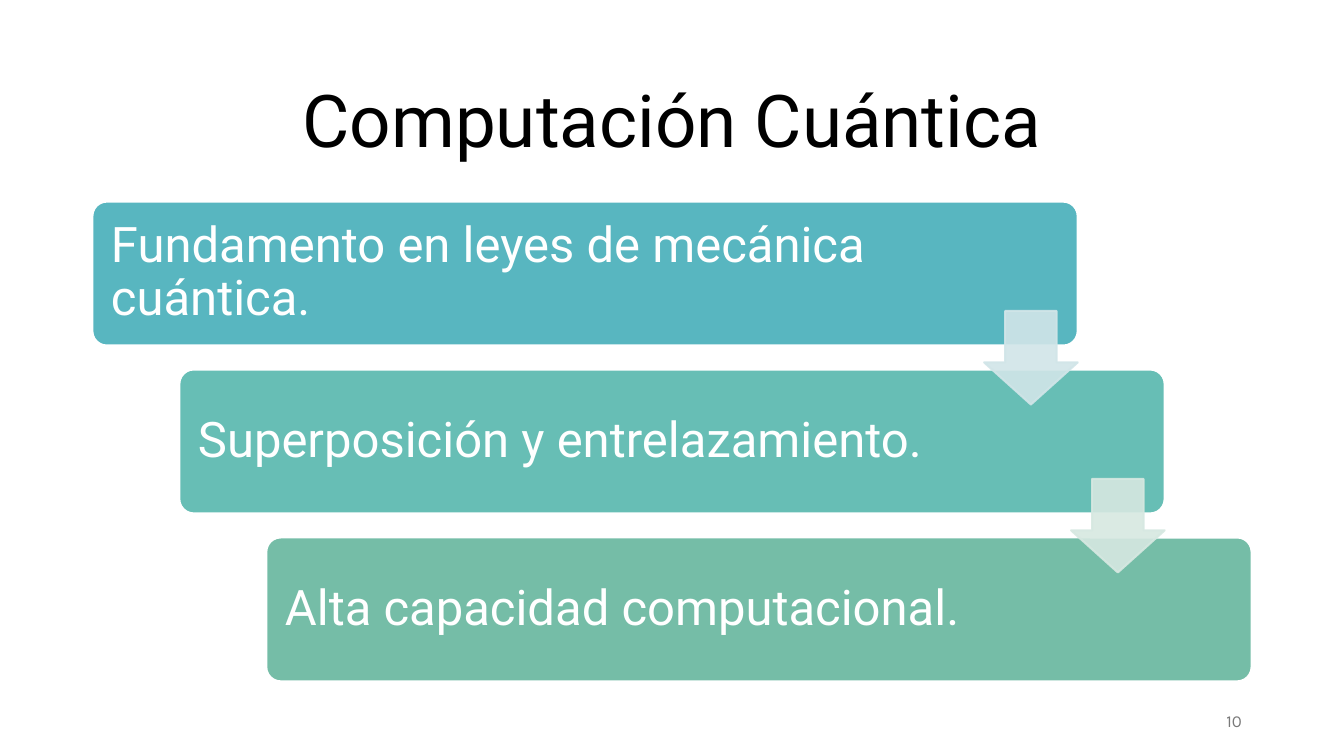
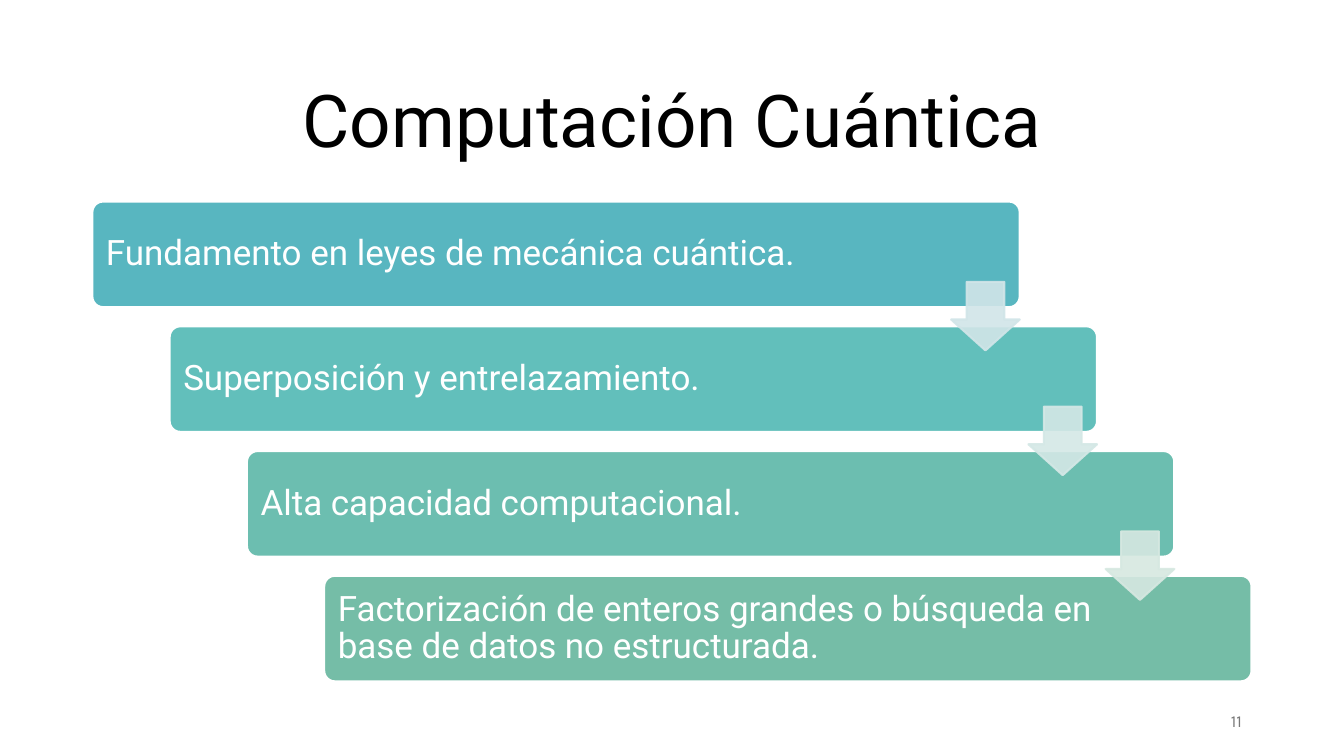
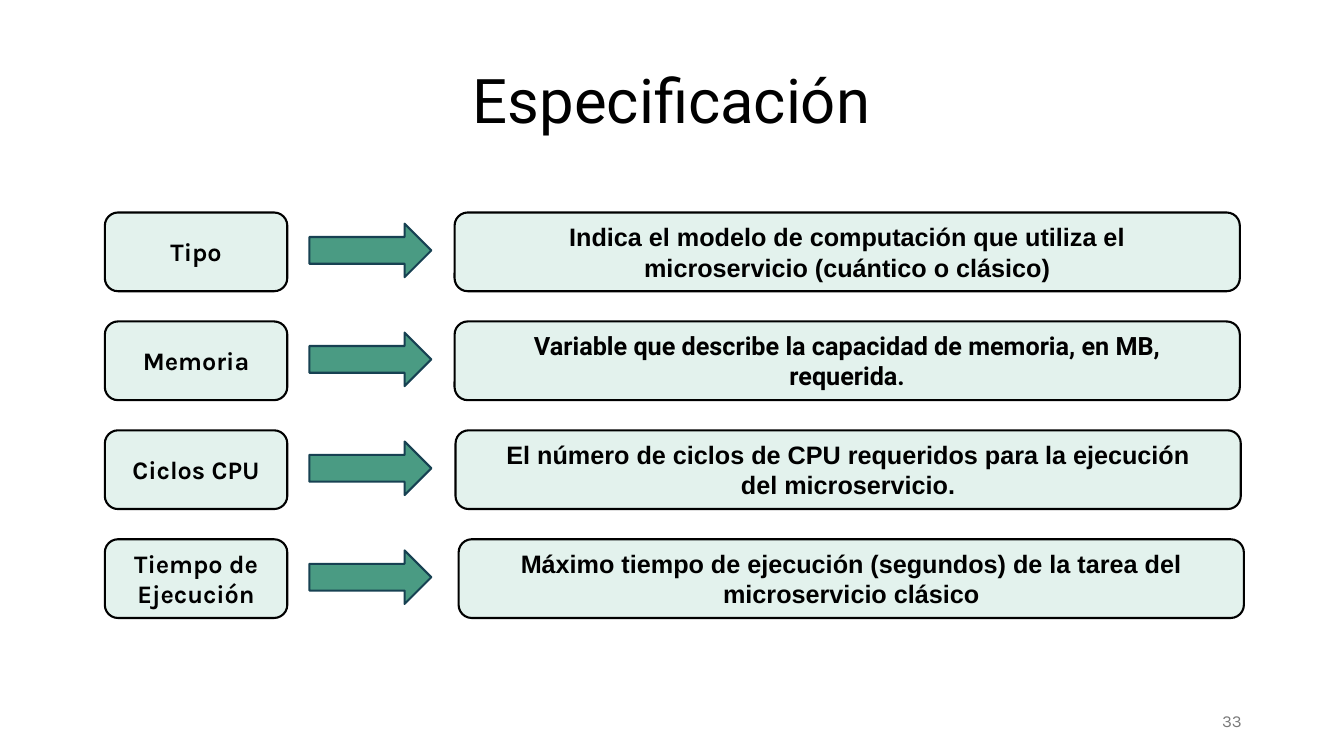
"""Build three slides on quantum computing and microservice specification."""
from lxml.etree import SubElement
from pptx import Presentation
from pptx.dml.color import RGBColor
from pptx.enum.shapes import MSO_SHAPE
from pptx.enum.text import MSO_ANCHOR, PP_ALIGN
from pptx.oxml.ns import qn
from pptx.util import Pt

BLACK = RGBColor(0x00, 0x00, 0x00)
WHITE = RGBColor(0xFF, 0xFF, 0xFF)
GREY = RGBColor(0x79, 0x79, 0x79)
BLUE = RGBColor(0x58, 0xB6, 0xC0)
TURQUOISE = RGBColor(0x62, 0xBF, 0xBB)
TEAL = RGBColor(0x67, 0xBE, 0xB5)
SEA_GREEN = RGBColor(0x6C, 0xBE, 0xB0)
GREEN = RGBColor(0x75, 0xBD, 0xA7)
PALE_BLUE = RGBColor(0xD1, 0xE5, 0xE8)
PALE_TEAL = RGBColor(0xD4, 0xE8, 0xE6)
PALE_GREEN = RGBColor(0xD6, 0xE8, 0xE1)
MINT = RGBColor(0xE3, 0xF2, 0xED)
ARROW_GREEN = RGBColor(0x4A, 0x9B, 0x83)
ARROW_EDGE = RGBColor(0x17, 0x41, 0x52)

TITLE_AREA = (66, 44, 828, 89.3)
NUMBER_AREA = (678.2, 500.4, 216, 28.8)
STAIRS_AREA = (66, 144, 828, 342.7)

TITLE_FONT = {"name": "Roboto", "size": Pt(52), "color": BLACK}
NUMBER_FONT = {"name": "Karla", "size": Pt(12), "color": GREY}
STEP_FONT = {"name": "Roboto", "color": WHITE}
LABEL_FONT = {"name": "Karla", "size": Pt(18), "bold": True, "color": BLACK}

THREE_STEPS = [
    ("Fundamento en leyes de mecánica cuántica.", BLUE, PALE_BLUE),
    ("Superposición y entrelazamiento.", TEAL, PALE_GREEN),
    ("Alta capacidad computacional.", GREEN, None),
]
FOUR_STEPS = [
    ("Fundamento en leyes de mecánica cuántica.", BLUE, PALE_BLUE),
    ("Superposición y entrelazamiento.", TURQUOISE, PALE_TEAL),
    ("Alta capacidad computacional.", SEA_GREEN, PALE_GREEN),
    ("Factorización de enteros grandes o búsqueda en base de datos no estructurada.",
     GREEN, None),
]
FIELDS = [
    ("Tipo", 324.7, "Arial",
     ["Indica el modelo de computación que utiliza el",
      "microservicio (cuántico o clásico)"]),
    ("Memoria", 324.7, "Roboto",
     ["Variable que describe la capacidad de memoria, en MB,\nrequerida."]),
    ("Ciclos CPU", 325.4, "Arial",
     ["El número de ciclos de CPU requeridos para la ejecución\ndel microservicio."]),
    ("Tiempo de Ejecución", 327.6, "Arial",
     ["Máximo tiempo de ejecución (segundos) de la tarea del\nmicroservicio clásico"]),
]


def write(box, paragraphs, font, align=PP_ALIGN.CENTER, spacing=1.0, **frame_format):
    """Fill the text frame of a box with evenly formatted paragraphs."""
    frame = box.text_frame
    settings = {"word_wrap": True, "vertical_anchor": MSO_ANCHOR.MIDDLE, **frame_format}
    for name, value in settings.items():
        setattr(frame, name, value)
    for index, text in enumerate(paragraphs):
        para = frame.paragraphs[0] if index == 0 else frame.add_paragraph()
        para.text = text
        para.alignment = align
        para.line_spacing = spacing
        for span in para.runs:
            for name, value in font.items():
                if name == "color":
                    span.font.color.rgb = value
                else:
                    setattr(span.font, name, value)


def add_text(page, area, text, font, **text_format):
    """Add a text box with one paragraph."""
    box = page.shapes.add_textbox(*map(Pt, area))
    write(box, [text], font, **text_format)


def add_block(page, kind, area, fill, edge, adjustments=()):
    """Add a filled preset shape with an outline and no shadow."""
    block = page.shapes.add_shape(kind, *map(Pt, area))
    block.shadow.inherit = False
    block.fill.solid()
    block.fill.fore_color.rgb = fill
    block.line.color.rgb = edge
    block.line.width = Pt(1.5)
    for index, value in enumerate(adjustments):
        block.adjustments[index] = value
    return block


def set_opacity(block, percent):
    """Make the fill and outline of a block partly transparent."""
    for color in block._element.spPr.iter(qn("a:srgbClr")):
        SubElement(color, qn("a:alpha"), val=str(percent * 1000))


def add_page(deck, title, number, area=TITLE_AREA, size=52, anchor=MSO_ANCHOR.MIDDLE):
    """Add a blank page with its title and page number."""
    page = deck.slides.add_slide(deck.slide_layouts[6])
    add_text(page, area, title, {**TITLE_FONT, "size": Pt(size)},
             spacing=0.9, vertical_anchor=anchor)
    add_text(page, NUMBER_AREA, str(number), NUMBER_FONT, align=PP_ALIGN.RIGHT)
    return page


def add_stairs(page, steps, width_share, height_share, size):
    """Add descending cards joined by translucent arrows."""
    left, top, total_width, total_height = STAIRS_AREA
    width, height = total_width * width_share, total_height * height_share
    step_x = (total_width - width) / (len(steps) - 1)
    step_y = (total_height - height) / (len(steps) - 1)
    arrow_size = 0.65 * height
    corners = [(left + i * step_x, top + i * step_y) for i in range(len(steps))]
    for (x, y), (text, fill, _) in zip(corners, steps):
        card = add_block(page, MSO_SHAPE.ROUNDED_RECTANGLE, (x, y, width, height),
                         fill, WHITE, [0.1])
        write(card, [text], {**STEP_FONT, "size": Pt(size)}, align=PP_ALIGN.LEFT,
              spacing=0.9, margin_left=Pt(0.1 * height), margin_right=Pt(1.2 * height))
    for (x, y), (_, _, tint) in zip(corners, steps):
        if tint is not None:
            area = (x + width - arrow_size, y + 0.76 * height, arrow_size, arrow_size)
            arrow = add_block(page, MSO_SHAPE.DOWN_ARROW, area, tint, tint, [0.55, 0.45])
            set_opacity(arrow, 90)


def add_field(page, top, label, left, font_name, description):
    """Add a row with a label, an arrow and a description."""
    boxes = [
        ((74.9, top, 130.3, 56.2), [label], LABEL_FONT),
        ((left, top, 560.9, 56.2), description, {**LABEL_FONT, "name": font_name}),
    ]
    for area, paragraphs, font in boxes:
        box = add_block(page, MSO_SHAPE.ROUNDED_RECTANGLE, area, MINT, BLACK)
        write(box, paragraphs, font)
    add_block(page, MSO_SHAPE.RIGHT_ARROW, (221, top + 8, 87.1, 38.2),
              ARROW_GREEN, ARROW_EDGE)


def main():
    """Build and save the deck."""
    deck = Presentation()
    deck.slide_width, deck.slide_height = Pt(960), Pt(540)
    add_stairs(add_page(deck, "Computación Cuántica", 10), THREE_STEPS, 0.85, 0.3, 35)
    add_stairs(add_page(deck, "Computación Cuántica", 11), FOUR_STEPS, 0.8, 0.22, 25)
    page = add_page(deck, "Especificación", 33, (323.3, -2.9, 313.2, 104.4), 44,
                    MSO_ANCHOR.BOTTOM)
    for index, field in enumerate(FIELDS):
        add_field(page, 151.8 + index * 77.8, *field)
    deck.save("out.pptx")


if __name__ == "__main__":
    main()
